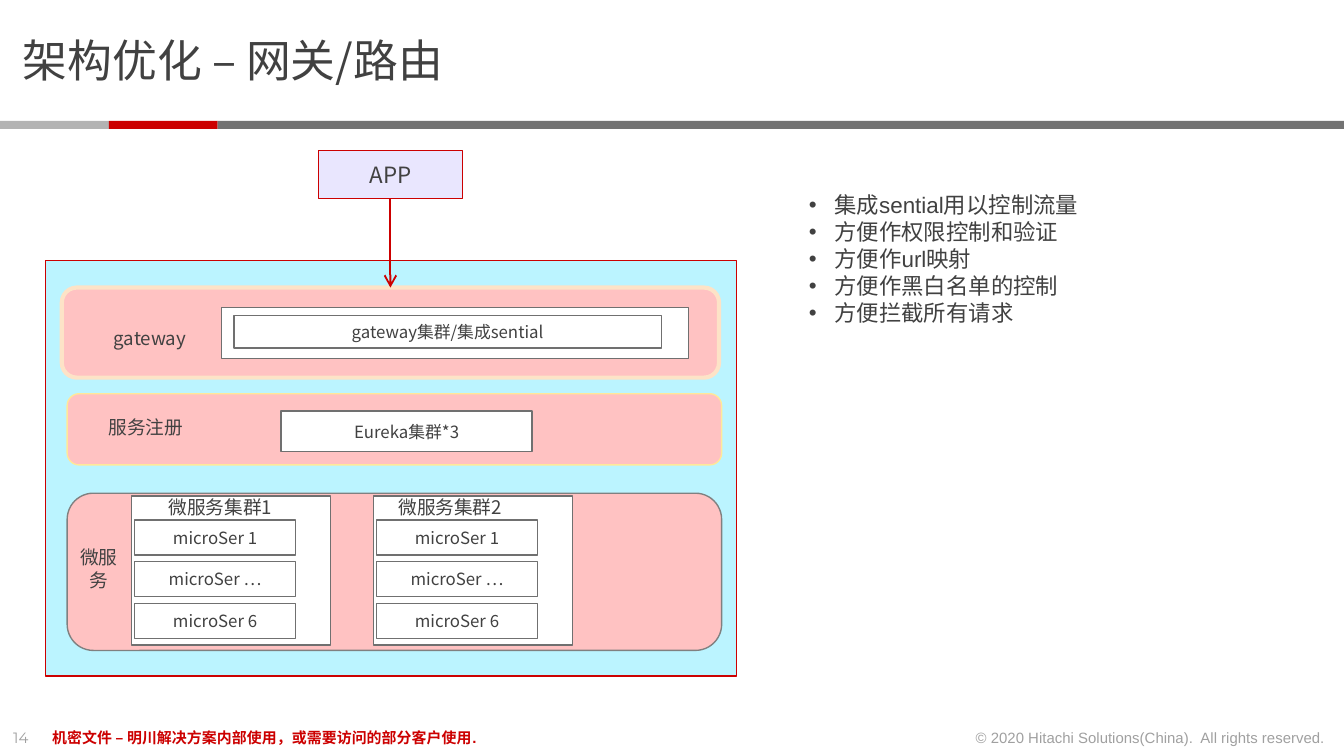
from dataclasses import dataclass

from lxml import etree
from pptx import Presentation
from pptx import util as u
from pptx.dml.color import RGBColor
from pptx.enum import shapes, text
from pptx.oxml import ns

RECT = shapes.MSO_SHAPE.RECTANGLE
ROUNDED = shapes.MSO_SHAPE.ROUNDED_RECTANGLE
LEFT, CENTER, RIGHT = text.PP_ALIGN.LEFT, text.PP_ALIGN.CENTER, text.PP_ALIGN.RIGHT


@dataclass(frozen=True)
class Theme:
    ink: str = "414141"
    muted: str = "A0A0A0"
    red: str = "CC0000"
    dark_gray: str = "737373"
    light_gray: str = "B3B3B3"
    white: str = "FFFFFF"
    outline: str = "707070"
    platform: str = "BBF4FF"
    band: str = "FFC2C2"
    gateway_line: str = "FDE3C7"
    registry_line: str = "FFE899"
    services_line: str = "808080"
    app: str = "E9E6FE"
    cjk: str = "Noto Sans CJK SC"
    sans: str = "Arial"
    number: str = "Montserrat"
    title_size: int = 24
    large: int = 12
    label: int = 10
    node: int = 9
    footer: int = 8


THEME = Theme()


def inches(*lengths):
    return [u.Inches(round(length, 2)) for length in lengths]


def add_element(parent, tag, **attributes):
    return etree.SubElement(parent, ns.qn(tag), attributes)


def style_paragraph(paragraph, size, font=THEME.cjk, color=THEME.ink, align=LEFT, bold=False):
    paragraph.alignment = align
    paragraph.line_spacing = u.Pt(round(size * 1.21, 1))
    for run in paragraph.runs:
        run.font.size = u.Pt(size)
        run.font.name = font
        run.font.bold = bold
        run.font.color.rgb = RGBColor.from_string(color)
        add_element(run.font._element, "a:ea", typeface=THEME.cjk)


def add_box(slide, box, fill, line=None, weight=0.75, kind=RECT, label="", size=THEME.node):
    shape = slide.shapes.add_shape(kind, *inches(*box))
    shape.shadow.inherit = False
    shape.fill.solid()
    shape.fill.fore_color.rgb = RGBColor.from_string(fill)
    if line:
        shape.line.color.rgb = RGBColor.from_string(line)
        shape.line.width = u.Pt(weight)
    else:
        shape.line.fill.background()
    if label:
        frame = shape.text_frame
        frame.text = label
        frame.vertical_anchor = text.MSO_ANCHOR.MIDDLE
        style_paragraph(frame.paragraphs[0], size, align=CENTER)
    return shape


def add_label(slide, box, wording, size=THEME.label, wrap=True, **style):
    frame = slide.shapes.add_textbox(*inches(*box)).text_frame
    frame.word_wrap = wrap
    frame.vertical_anchor = text.MSO_ANCHOR.MIDDLE
    frame.text = wording
    style_paragraph(frame.paragraphs[0], size, **style)


def add_header(slide, box):
    left, top, width, height = box
    title = slide.shapes.title
    title.left, title.top, title.width, title.height = inches(left + 0.07, top + 0.19, 8.33, 0.5)
    frame = title.text_frame
    frame.text = "架构优化 – 网关/路由"
    frame.auto_size = text.MSO_AUTO_SIZE.NONE
    frame.vertical_anchor = text.MSO_ANCHOR.MIDDLE
    style_paragraph(frame.paragraphs[0], THEME.title_size)
    segment = 0.81
    stripes = [(0, segment, THEME.light_gray), (segment, segment, THEME.red),
               (2 * segment, width - 2 * segment, THEME.dark_gray)]
    for offset, length, color in stripes:
        add_box(slide, (left + offset, top + height - 0.06, length, 0.06), color)


def add_footer(slide, box):
    left, top, width, height = box
    add_label(slide, (left, top, 0.34, height), "14", THEME.footer, wrap=False,
              font=THEME.number, color=THEME.muted)
    add_label(slide, (left + 0.29, top, 6.74, height),
              "机密文件 – 明川解决方案内部使用，或需要访问的部分客户使用.", THEME.footer,
              font=THEME.sans, color=THEME.red, bold=True)
    add_label(slide, (left + width - 2.88, top, 2.84, height),
              "© 2020 Hitachi Solutions(China).  All rights reserved.", THEME.footer,
              wrap=False, font=THEME.sans, color=THEME.muted, align=RIGHT)


def add_gateway(slide, box):
    left, top = box[:2]
    band = add_box(slide, box, THEME.band, THEME.gateway_line, 2.25, ROUNDED)
    add_label(slide, (left + 0.26, top + 0.24, 0.79, 0.27), "gateway", align=CENTER)
    add_box(slide, (left + 1.19, top + 0.15, 3.47, 0.38), THEME.white, THEME.outline, 0.5)
    add_box(slide, (left + 1.28, top + 0.21, 3.18, 0.24), THEME.white, THEME.outline,
            label="gateway集群/集成sential")
    return band


def add_registry(slide, box):
    left, top = box[:2]
    add_box(slide, box, THEME.band, THEME.registry_line, kind=ROUNDED)
    add_label(slide, (left - 0.06, top + 0.11, 1.29, 0.27), "服务注册", align=CENTER)
    add_box(slide, (left + 1.59, top + 0.13, 1.87, 0.3), THEME.white, THEME.outline,
            label="Eureka集群*3")


def add_cluster(slide, box, name, name_offset):
    left, top = box[:2]
    add_box(slide, box, THEME.white, THEME.outline)
    for row, service in enumerate(("microSer 1", "microSer …", "microSer 6")):
        add_box(slide, (left + 0.02, top + 0.18 + row * 0.31, 1.2, 0.26),
                THEME.white, THEME.outline, label=service)
    add_label(slide, (left + name_offset, top - 0.05, 1.06, 0.27), name, align=CENTER)


def add_services(slide, box):
    left, top = box[:2]
    add_box(slide, box, THEME.band, THEME.services_line, kind=ROUNDED)
    add_label(slide, (left - 0.07, top + 0.34, 0.61, 0.44), "微服务", align=CENTER)
    for column, name_offset in enumerate((0.13, 0.04)):
        add_cluster(slide, (left + 0.48 + column * 1.8, top + 0.02, 1.48, 1.11),
                    f"微服务集群{column + 1}", name_offset)


def add_request_arrow(slide, app, gateway):
    arrow = slide.shapes.add_connector(shapes.MSO_CONNECTOR.STRAIGHT, 0, 0, 0, 0)
    arrow.begin_connect(app, 2)
    arrow.end_connect(gateway, 0)
    arrow.line.color.rgb = RGBColor.from_string(THEME.red)
    arrow.line.width = u.Pt(1)
    add_element(arrow.line._get_or_add_ln(), "a:tailEnd", type="arrow")
    add_element(arrow._element.spPr, "a:effectLst")


def add_architecture(slide, box):
    left, top, width, height = box
    add_box(slide, (left, top + 0.82, width, height - 0.82), THEME.platform, THEME.red)
    app = add_box(slide, (left + 2.03, top, 1.07, 0.36), THEME.app, THEME.red,
                  label="APP", size=THEME.large)
    gateway = add_gateway(slide, (left + 0.12, top + 1.02, 4.89, 0.67))
    add_registry(slide, (left + 0.16, top + 1.81, 4.87, 0.53))
    add_services(slide, (left + 0.16, top + 2.55, 4.87, 1.17))
    add_request_arrow(slide, app, gateway)


def add_benefits(slide, box):
    benefits = ("集成sential用以控制流量", "方便作权限控制和验证", "方便作url映射",
                "方便作黑白名单的控制", "方便拦截所有请求")
    frame = add_box(slide, box, THEME.white).text_frame
    frame.vertical_anchor = text.MSO_ANCHOR.TOP
    frame.text = "\n".join(benefits)
    for paragraph in frame.paragraphs:
        properties = paragraph._p.get_or_add_pPr()
        properties.set("marL", str(u.Inches(0.19)))
        properties.set("indent", str(-u.Inches(0.19)))
        add_element(properties, "a:buFont", typeface=THEME.sans)
        add_element(properties, "a:buChar", char="•")
        style_paragraph(paragraph, THEME.large, font=THEME.sans)


def main():
    deck = Presentation()
    deck.slide_width = u.Inches(10)
    deck.slide_height = u.Inches(10 * 9 / 16)
    slide = deck.slides.add_slide(deck.slide_layouts[5])
    add_header(slide, (0, 0, 10, 0.96))
    add_architecture(slide, (0.34, 1.12, 5.14, 3.91))
    add_benefits(slide, (5.92, 1.37, 3.36, 1.11))
    add_footer(slide, (0, 5.37, 10, 0.24))
    deck.save("out.pptx")


if __name__ == "__main__":
    main()
